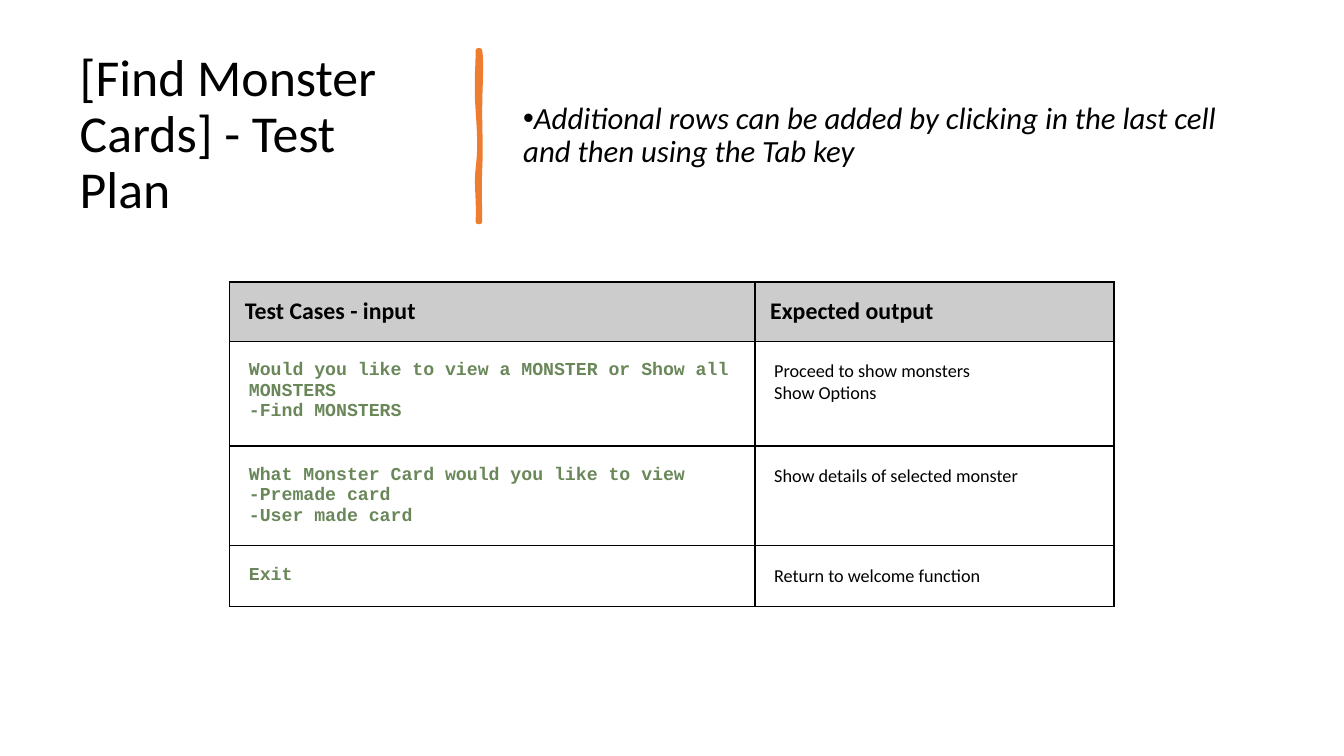
from lxml.etree import SubElement
from pptx import Presentation
from pptx.dml.color import RGBColor
from pptx.enum.text import MSO_ANCHOR as Anchor, MSO_AUTO_SIZE as AutoSize, PP_ALIGN as Align
from pptx.oxml import parse_xml
from pptx.oxml.ns import nsdecls, qn
from pptx.util import Inches, Pt

BLACK, ORANGE, GREY, GREEN = "000000", "ED7D31", "CCCCCC", "6A8759"
TITLE = {"name": "Calibri", "size": Pt(37)}
NOTE = {"name": "Calibri", "size": Pt(22), "italic": True}
HEADER = {"name": "Calibri", "size": Pt(17), "bold": True}
INPUT = {"name": "Courier New", "size": Pt(13), "bold": True}
OUTPUT = {"name": "Calibri", "size": Pt(13), "bold": False}

# Table rows: height in percent, input lines, output lines
HEADINGS = (7.8, ["Test Cases - input"], ["Expected output"])
TEST_CASES = [
    (13.85, ["Would you like to view a MONSTER or Show all MONSTERS", "-Find MONSTERS"],
     ["Proceed to show monsters", "Show Options"]),
    (13.1, ["What Monster Card would you like to view", "-Premade card", "-User made card"],
     ["Show details of selected monster"]),
    (7.8, ["Exit"], ["Return to welcome function"]),
]

# Divider outline on a 6 by 170 grid: start, then two handles and an end per curve
DIVIDER_GRID = (6, 170)
DIVIDER = [
    (4, 0),
    (6, 12), (4, 38), (4, 60), (4, 82), (5, 94), (4, 118), (3, 143), (4, 149), (4, 170),
    (3, 170), (3, 170), (2, 170),
    (3, 146), (0, 133), (2, 117), (4, 101), (4, 88), (2, 60), (0, 33), (2, 17), (2, 0),
]


def color(value):
    return RGBColor.from_string(value)


def cubic(start, first, second, end, share):
    rest = 1 - share
    return tuple(rest**3 * a + 3 * rest**2 * share * b + 3 * rest * share**2 * c + share**3 * d
                 for a, b, c, d in zip(start, first, second, end))


class SlideBuilder:
    """Places elements by percent of the slide's width and height."""

    def __init__(self, presentation):
        self.width, self.height = presentation.slide_width, presentation.slide_height
        self.slide = presentation.slides.add_slide(presentation.slide_layouts[1])

    def across(self, percent):
        return round(self.width * percent / 100)

    def down(self, percent):
        return round(self.height * percent / 100)

    def box(self, left, top, width, height):
        return self.across(left), self.down(top), self.across(width), self.down(height)

    def set_text(self, frame, lines, style, font_color):
        frame.text = "\n".join(lines)
        for paragraph in frame.paragraphs:
            for name, value in style.items():
                setattr(paragraph.runs[0].font, name, value)
            paragraph.runs[0].font.color.rgb = color(font_color)

    def placeholder(self, index, box, text, style, bullet=None):
        shape = self.slide.placeholders[index]
        shape.left, shape.top, shape.width, shape.height = self.box(*box)
        frame = shape.text_frame
        self.set_text(frame, [text], style, BLACK)
        frame.word_wrap, frame.auto_size = True, AutoSize.NONE
        frame.vertical_anchor = Anchor.MIDDLE
        paragraph = frame.paragraphs[0]
        if bullet:
            properties = paragraph._p.get_or_add_pPr()
            properties.set("marL", "0")
            properties.set("indent", str(-Inches(0.25)))
            SubElement(properties, qn("a:buChar")).set("char", bullet)
        layout = {"alignment": Align.LEFT, "line_spacing": 0.9,
                  "space_before": Pt(0), "space_after": Pt(6 if bullet else 0)}
        for name, value in layout.items():
            setattr(paragraph, name, value)

    def curve(self, box, grid, points, line_width, steps=8):
        left, top, width, height = self.box(*box)
        scaled = [(left + width * x / grid[0], top + height * y / grid[1]) for x, y in points]
        outline = [cubic(*scaled[i:i + 4], step / steps)
                   for i in range(0, len(scaled) - 1, 3) for step in range(1, steps + 1)]
        builder = self.slide.shapes.build_freeform(*scaled[0])
        builder.add_line_segments(outline, close=True)
        shape = builder.convert_to_shape()
        shape.shadow.inherit = False
        shape.fill.solid()
        shape.fill.fore_color.rgb = shape.line.color.rgb = color(ORANGE)
        shape.line.width = Pt(line_width)
        SubElement(shape._element.spPr.find(qn("a:ln")), qn("a:round"))

    def cell(self, cell, lines, style, font_color, inset, fill=None):
        self.set_text(cell.text_frame, lines, style, font_color)
        for side in ("left", "top", "right", "bottom"):
            setattr(cell, f"margin_{side}", Inches(inset))
        if fill:
            cell.fill.solid()
            cell.fill.fore_color.rgb = color(fill)
        else:
            cell.fill.background()
        for position, side in enumerate("LRTB"):
            border = parse_xml(
                f'<a:ln{side} {nsdecls("a")} w="{Pt(1)}"><a:solidFill>'
                f'<a:srgbClr val="{BLACK}"/></a:solidFill></a:ln{side}>')
            cell._tc.get_or_add_tcPr().insert(position, border)

    def table(self, left, top, columns, headings, rows):
        rows = [headings, *rows]
        box = self.box(left, top, sum(columns), sum(row[0] for row in rows))
        table = self.slide.shapes.add_table(len(rows), len(columns), *box).table
        table.first_row = table.horz_banding = False
        for column, width in zip(table.columns, columns):
            column.width = self.across(width)
        for index, (height, *texts) in enumerate(rows):
            table.rows[index].height = self.down(height)
            for column, lines in enumerate(texts):
                cell = table.cell(index, column)
                if index == 0:
                    self.cell(cell, lines, HEADER, BLACK, 0.15, GREY)
                elif column == 0:
                    self.cell(cell, lines, INPUT, GREEN, 0.19)
                else:
                    self.cell(cell, lines, OUTPUT, BLACK, 0.19)


def main():
    presentation = Presentation()
    presentation.slide_width, presentation.slide_height = Inches(13.33), Inches(7.5)
    builder = SlideBuilder(presentation)

    # Title, divider and note
    builder.placeholder(0, (5.18, 7.33, 28.06, 21.33), "[Find Monster Cards] - Test Plan", TITLE)
    builder.curve((35.41, 6.67, 0.45, 22.67), DIVIDER_GRID, DIVIDER, 3.25)
    builder.placeholder(
        1, (38.18, 7.33, 56.56, 21.33),
        "Additional rows can be added by clicking in the last cell and then using the Tab key",
        NOTE, bullet="•")

    # Test plan
    builder.table(17.1, 37.3, (39.08, 26.71), HEADINGS, TEST_CASES)

    presentation.save("out.pptx")


if __name__ == "__main__":
    main()
